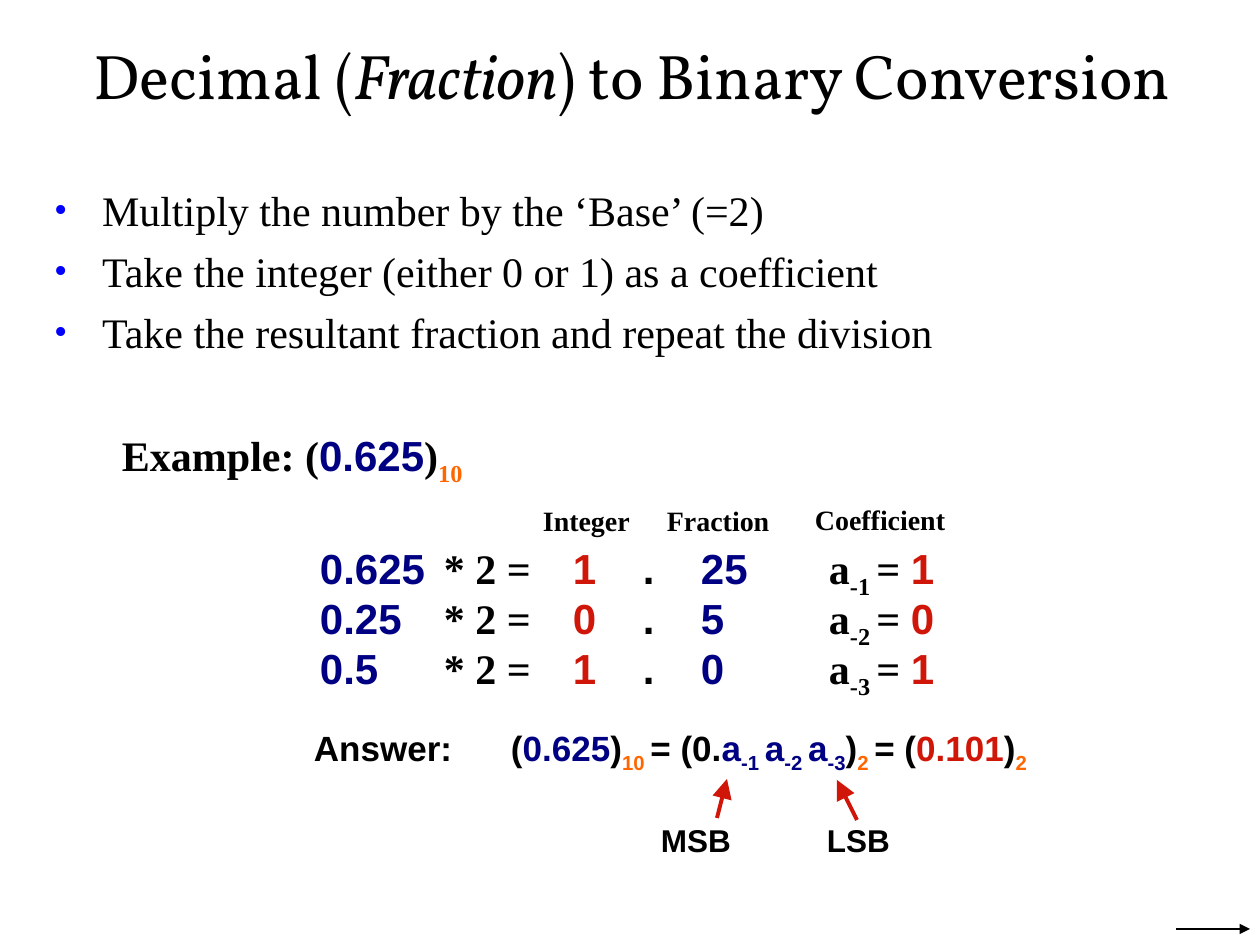
"""Build a slide on converting a decimal fraction to binary."""
from lxml import etree
from pptx import Presentation
from pptx.dml.color import RGBColor
from pptx.enum.shapes import MSO_CONNECTOR
from pptx.enum.text import MSO_ANCHOR, PP_ALIGN
from pptx.oxml.ns import qn
from pptx.util import Emu, Pt

STRAIGHT = MSO_CONNECTOR.STRAIGHT
MIDDLE = MSO_ANCHOR.MIDDLE
CENTER = PP_ALIGN.CENTER
PX = 7257.14
BLACK, NAVY, RED, ORANGE, BLUE = "000000", "000082", "D01608", "FF6600", "0000FF"
SERIF, SANS, TITLE_FONT = "Times New Roman", "Arial", "Vollkorn"

TITLE = [("Decimal (", False), ("Fraction", True), (") to Binary Conversion", False)]
BULLETS = [
    "Multiply the number by the ‘Base’ (=2)",
    "Take the integer (either 0 or 1) as a coefficient",
    "Take the resultant fraction and repeat the division",
]
EXAMPLE = [
    ("Example: (", BLACK, SERIF), ("0.625", NAVY),
    (")", BLACK, SERIF), ("10", ORANGE, SERIF, True),
]
HEADINGS = [("Integer", 543, 504), ("Fraction", 667, 504), ("Coefficient", 815, 503)]
STEPS = [
    ("0.625", "1", "25", "-1 "),
    ("0.25", "0", "5", "-2 "),
    ("0.5", "1", "0", "-3 "),
]
STEP_COLUMNS = (320, 444, 573, 643, 701, 829)
STEP_TOP, STEP_PITCH = 543, 50
ANSWER = [
    ("(", BLACK), ("0.625", NAVY), (")", BLACK), ("10 ", ORANGE, SANS, True),
    ("= (0.", BLACK),
    ("a", NAVY), ("-1 ", NAVY, SANS, True),
    ("a", NAVY), ("-2 ", NAVY, SANS, True),
    ("a", NAVY), ("-3", NAVY, SANS, True),
    (")", BLACK), ("2 ", ORANGE, SANS, True),
    ("= (", BLACK), ("0.101", RED), (")", BLACK), ("2", ORANGE, SANS, True),
]
BIT_LABELS = [("MSB", 661), ("LSB", 827)]
ARROWS = [
    (857, 820, 837, 780, RED, 2.25, "lg"),
    (717, 818, 727, 779, RED, 2.25, "lg"),
    (1176, 929, 1250, 929, BLACK, 0.75, "med"),
]


def px(value):
    return Emu(round(value * PX))


def color(value):
    return RGBColor.from_string(value)


def clear_margins(frame):
    frame.margin_left = frame.margin_right = frame.margin_top = frame.margin_bottom = 0


def add_text_box(slide, left, top, width, height):
    shape = slide.shapes.add_textbox(px(left), px(top), px(width), px(height))
    clear_margins(shape.text_frame)
    return shape.text_frame


def add_run(paragraph, text, fill, font_name=SANS, subscript=False):
    run = paragraph.add_run()
    run.text = text
    run.font.name = font_name
    run.font.color.rgb = color(fill)
    if subscript:
        run.font._element.set("baseline", "-25000")


def add_line(slide, left, top, runs, size, width=150):
    frame = add_text_box(slide, left, top, width, 48)
    frame.word_wrap = False
    paragraph = frame.paragraphs[0]
    paragraph.font.size = Pt(size)
    paragraph.font.bold = True
    for run in runs:
        add_run(paragraph, *run)


def add_title(slide):
    title = slide.shapes.title
    title.left, title.top, title.width, title.height = px(41), px(32), px(1182), px(84)
    frame = title.text_frame
    clear_margins(frame)
    frame.vertical_anchor = MIDDLE
    paragraph = frame.paragraphs[0]
    paragraph.alignment = CENTER
    for text, italic in TITLE:
        run = paragraph.add_run()
        run.text = text
        run.font.italic = italic
    paragraph.font.name = TITLE_FONT
    paragraph.font.size = Pt(36)
    paragraph.font.color.rgb = color(BLACK)


def add_bullets(slide):
    frame = add_text_box(slide, 54, 185, 1156, 170)
    frame.word_wrap = True
    for index, text in enumerate(BULLETS):
        paragraph = frame.paragraphs[0] if index == 0 else frame.add_paragraph()
        paragraph.text = text
        paragraph.space_before = Pt(6 if index else 0)
        properties = paragraph._p.get_or_add_pPr()
        properties.set("marL", str(px(48)))
        properties.set("indent", str(-px(48)))
        bullet_color = etree.SubElement(properties, qn("a:buClr"))
        etree.SubElement(bullet_color, qn("a:srgbClr"), val=BLUE)
        etree.SubElement(properties, qn("a:buSzPct"), val="90000")
        etree.SubElement(properties, qn("a:buFont"), typeface=SERIF)
        etree.SubElement(properties, qn("a:buChar"), char="•")
        paragraph.font.name = SERIF
        paragraph.font.size = Pt(24)
        paragraph.font.color.rgb = color(BLACK)


def add_steps(slide):
    for row, (value, integer, fraction, subscript) in enumerate(STEPS):
        cells = [
            [(value, NAVY)],
            [("* 2 =", BLACK, SERIF)],
            [(integer, RED)],
            [(".", BLACK)],
            [(fraction, NAVY)],
            [("a", BLACK, SERIF), (subscript, BLACK, SERIF, True),
             ("= ", BLACK, SERIF), (integer, RED)],
        ]
        for left, runs in zip(STEP_COLUMNS, cells):
            add_line(slide, left, STEP_TOP + row * STEP_PITCH, runs, 24)


def add_arrow(slide, start_x, start_y, end_x, end_y, fill, width, head):
    arrow = slide.shapes.add_connector(
        STRAIGHT, px(start_x), px(start_y), px(end_x), px(end_y))
    arrow.line.color.rgb = color(fill)
    arrow.line.width = Pt(width)
    etree.SubElement(arrow.line._get_or_add_ln(), qn("a:tailEnd"),
                     type="triangle", w=head, len=head)
    etree.SubElement(arrow._element.spPr, qn("a:effectLst"))


def main():
    presentation = Presentation()
    presentation.slide_width, presentation.slide_height = px(1260), px(945)
    slide = presentation.slides.add_slide(presentation.slide_layouts[5])
    add_title(slide)
    add_bullets(slide)
    add_line(slide, 122, 430, EXAMPLE, 24, 400)
    for text, left, top in HEADINGS:
        add_line(slide, left, top, [(text, BLACK, SERIF)], 16)
    add_steps(slide)
    add_line(slide, 314, 727, [("Answer:", BLACK)], 20)
    add_line(slide, 511, 727, ANSWER, 20, 600)
    for text, left in BIT_LABELS:
        add_line(slide, left, 821, [(text, BLACK)], 18)
    for arrow in ARROWS:
        add_arrow(slide, *arrow)
    presentation.save("out.pptx")


if __name__ == "__main__":
    main()
